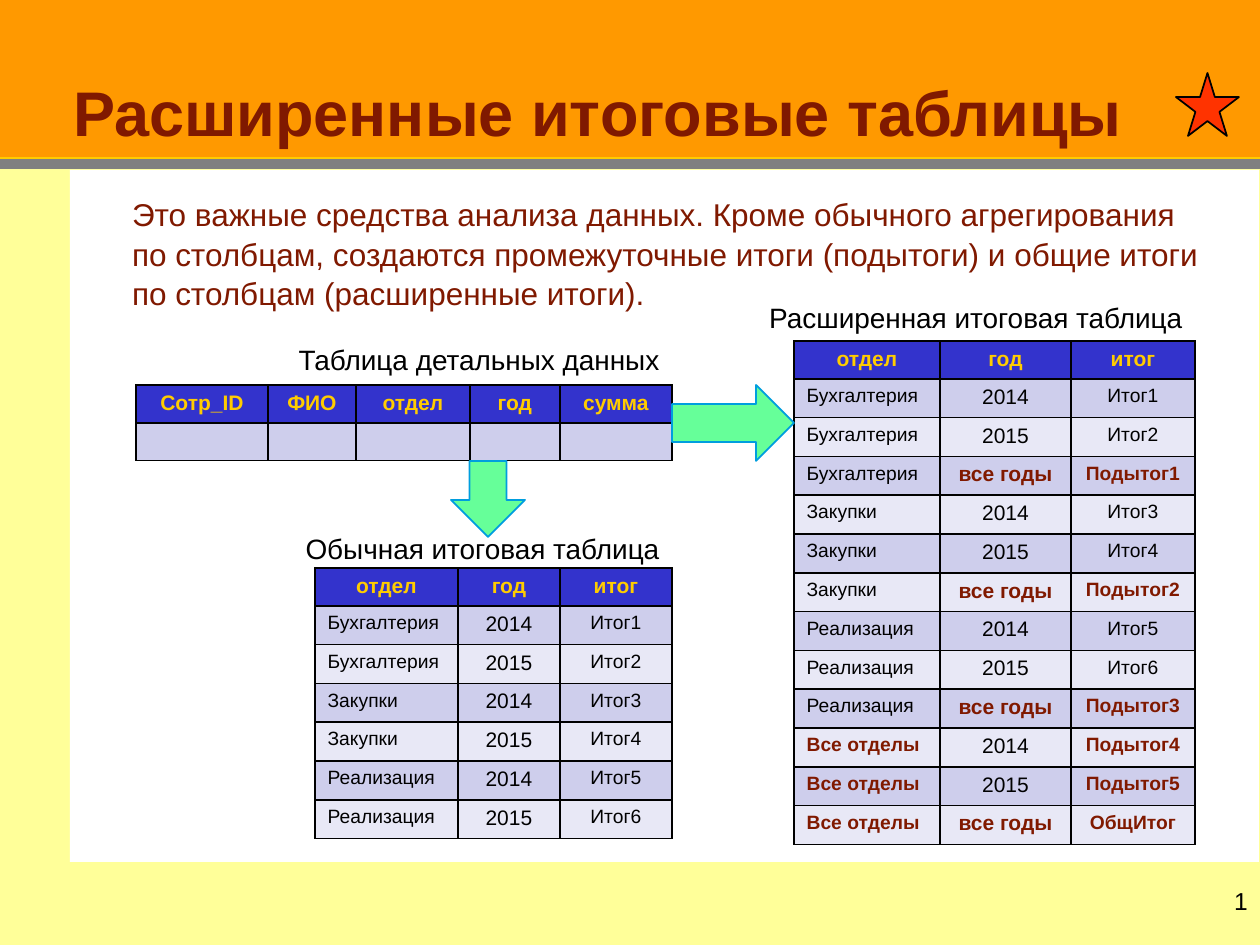
from lxml.etree import SubElement
from pptx import Presentation
from pptx.dml.color import RGBColor
from pptx.enum.shapes import MSO_CONNECTOR, MSO_SHAPE
from pptx.enum.text import MSO_ANCHOR, PP_ALIGN
from pptx.oxml.ns import qn
from pptx.util import Emu, Pt

PX = 914400 / 126
WIDTH, HEIGHT = 1260, 945
FONT = "Arial"
COLORS = {
    "orange": "FF9900", "cream": "FFFF99", "gray": "808080", "gold": "FFCC00",
    "maroon": "801900", "white": "FFFFFF", "black": "000000", "red": "FF3300",
    "header": "3333CC", "odd": "CECEEC", "even": "E8E8F6",
    "green": "66FF99", "blue": "009EDE",
}
HEADER_HEIGHT = 37
SUMMARY_HEADER = ["отдел", "год", "итог"]
SUMMARY_ROWS = [
    ["Бухгалтерия", "2014", "Итог1"],
    ["Бухгалтерия", "2015", "Итог2"],
    ["Закупки", "2014", "Итог3"],
    ["Закупки", "2015", "Итог4"],
    ["Реализация", "2014", "Итог5"],
    ["Реализация", "2015", "Итог6"],
]
GRAND_ROWS = [
    ["Все отделы", "2014", "Подытог4"],
    ["Все отделы", "2015", "Подытог5"],
    ["Все отделы", "все годы", "ОбщИтог"],
]
TOTAL_WORDS = ("Все", "все", "Подытог", "Общ")


def px(length):
    return Emu(round(length * PX))


def rgb(name):
    return RGBColor.from_string(COLORS[name])


def format_paragraph(paragraph, size, color="black", bold=False, align=PP_ALIGN.LEFT):
    paragraph.alignment = align
    for run in paragraph.runs:
        run.font.name = FONT
        run.font.size = Pt(size)
        run.font.bold = bold
        run.font.color.rgb = rgb(color)


def add_preset(slide, kind, box, fill, line=None):
    shape = slide.shapes.add_shape(kind, *map(px, box))
    shape.shadow.inherit = False
    shape.fill.solid()
    shape.fill.fore_color.rgb = rgb(fill)
    if line:
        shape.line.color.rgb = rgb(line)
        shape.line.width = Pt(1)
    else:
        shape.line.fill.background()
    return shape


def add_label(slide, box, text, size=16):
    """Right-aligned caption."""
    label = slide.shapes.add_textbox(*map(px, box))
    label.text_frame.word_wrap = True
    label.text_frame.text = text
    format_paragraph(label.text_frame.paragraphs[0], size, align=PP_ALIGN.RIGHT)


def add_background(slide, header_height):
    add_preset(slide, MSO_SHAPE.RECTANGLE, (0, 0, WIDTH, header_height), "orange")
    add_preset(slide, MSO_SHAPE.RECTANGLE,
               (0, header_height, WIDTH, HEIGHT - header_height), "cream")
    add_preset(slide, MSO_SHAPE.RECTANGLE, (0, header_height + 1, WIDTH, 10), "gray")
    rule = slide.shapes.add_connector(
        MSO_CONNECTOR.STRAIGHT, 0, px(header_height), px(WIDTH), px(header_height))
    rule.line.color.rgb = rgb("gold")
    rule.line.width = Pt(1)
    SubElement(rule._element.spPr, qn("a:effectLst"))


def place_title(slide, box, text):
    title = slide.shapes.title
    title.left, title.top, title.width, title.height = map(px, box)
    title.fill.solid()
    title.fill.fore_color.rgb = rgb("orange")
    frame = title.text_frame
    frame.text = text
    frame.vertical_anchor = MSO_ANCHOR.BOTTOM
    frame.margin_left = px(73)
    format_paragraph(frame.paragraphs[0], 36, "maroon", True)
    slide.shapes._spTree.append(title._element)  # in front of the background


def add_body(slide, box, text):
    frame = add_preset(slide, MSO_SHAPE.RECTANGLE, box, "white").text_frame
    frame.word_wrap = True
    frame.vertical_anchor = MSO_ANCHOR.TOP
    frame.margin_left, frame.margin_top = px(62), px(24)
    frame.text = text
    frame.paragraphs[0].line_spacing = 1.04
    format_paragraph(frame.paragraphs[0], 18, "maroon")


def fill_cell(cell, text, fill, size, color, bold, align):
    properties = cell._tc.get_or_add_tcPr()
    for side in ("a:lnL", "a:lnR", "a:lnT", "a:lnB"):
        border = SubElement(properties, qn(side), w=str(Pt(1)))
        solid = SubElement(border, qn("a:solidFill"))
        SubElement(solid, qn("a:srgbClr"), val=COLORS["black"])
    cell.fill.solid()
    cell.fill.fore_color.rgb = rgb(fill)
    paragraph = cell.text_frame.paragraphs[0]
    if text:
        paragraph.text = text
        format_paragraph(paragraph, size, color, bold, align)
    else:
        SubElement(paragraph._p, qn("a:endParaRPr"), sz=str(size * 100))


def add_data_table(slide, left, top, height, widths, header, rows):
    table = slide.shapes.add_table(
        len(rows) + 1, len(widths), px(left), px(top), px(sum(widths)), px(height)).table
    for column, width in zip(table.columns, widths):
        column.width = px(width)
    for row in table.rows:
        row.height = px((height - HEADER_HEIGHT) / len(rows))
    table.rows[0].height = px(HEADER_HEIGHT)

    for column, text in enumerate(header):
        fill_cell(table.cell(0, column), text, "header", 12, "gold", True, PP_ALIGN.CENTER)
    for index, values in enumerate(rows, 1):
        for column, text in enumerate(values):
            total = text.startswith(TOTAL_WORDS)
            fill_cell(table.cell(index, column), text,
                      "odd" if index % 2 else "even",
                      12 if column == 1 else 11,
                      "maroon" if total else "black", total,
                      PP_ALIGN.CENTER if column else PP_ALIGN.LEFT)


def extended_rows():
    """Summary rows with a subtotal after each department, then grand totals."""
    rows = []
    for number in range(1, 4):
        group = SUMMARY_ROWS[2 * number - 2:2 * number]
        rows += group + [[group[0][0], "все годы", f"Подытог{number}"]]
    return rows + GRAND_ROWS


def main():
    presentation = Presentation()
    presentation.slide_width, presentation.slide_height = px(WIDTH), px(HEIGHT)
    slide = presentation.slides.add_slide(presentation.slide_layouts[5])

    add_background(slide, 158)
    place_title(slide, (0, 8, WIDTH, 147), "Расширенные итоговые таблицы")
    add_body(slide, (70, 170, 1189, 692),
             "Это важные средства анализа данных. Кроме обычного агрегирования\v"
             "по столбцам, создаются промежуточные итоги (подытоги) и общие итоги\v"
             "по столбцам (расширенные итоги).")
    add_label(slide, (1130, 880, 130, 65), "1", 14)
    add_preset(slide, MSO_SHAPE.STAR_5_POINT, (1176, 73, 63, 63), "red", "black")

    add_data_table(slide, 136, 385, 73, [132, 88, 114, 90, 112],
                   ["Сотр_ID", "ФИО", "отдел", "год", "сумма"], [[""] * 5])
    add_label(slide, (105, 336, 567, 47), "Таблица детальных данных")
    add_data_table(slide, 315, 568, 270, [143, 102, 112], SUMMARY_HEADER, SUMMARY_ROWS)
    add_data_table(slide, 794, 341, 503, [146, 131, 124], SUMMARY_HEADER, extended_rows())
    add_label(slide, (271, 525, 401, 47), "Обычная итоговая таблица")
    add_label(slide, (752, 294, 443, 47), "Расширенная итоговая таблица")

    add_preset(slide, MSO_SHAPE.DOWN_ARROW, (451, 461, 74, 76), "green", "blue")
    add_preset(slide, MSO_SHAPE.RIGHT_ARROW, (672, 385, 122, 76), "green", "blue")
    presentation.save("out.pptx")


if __name__ == "__main__":
    main()
